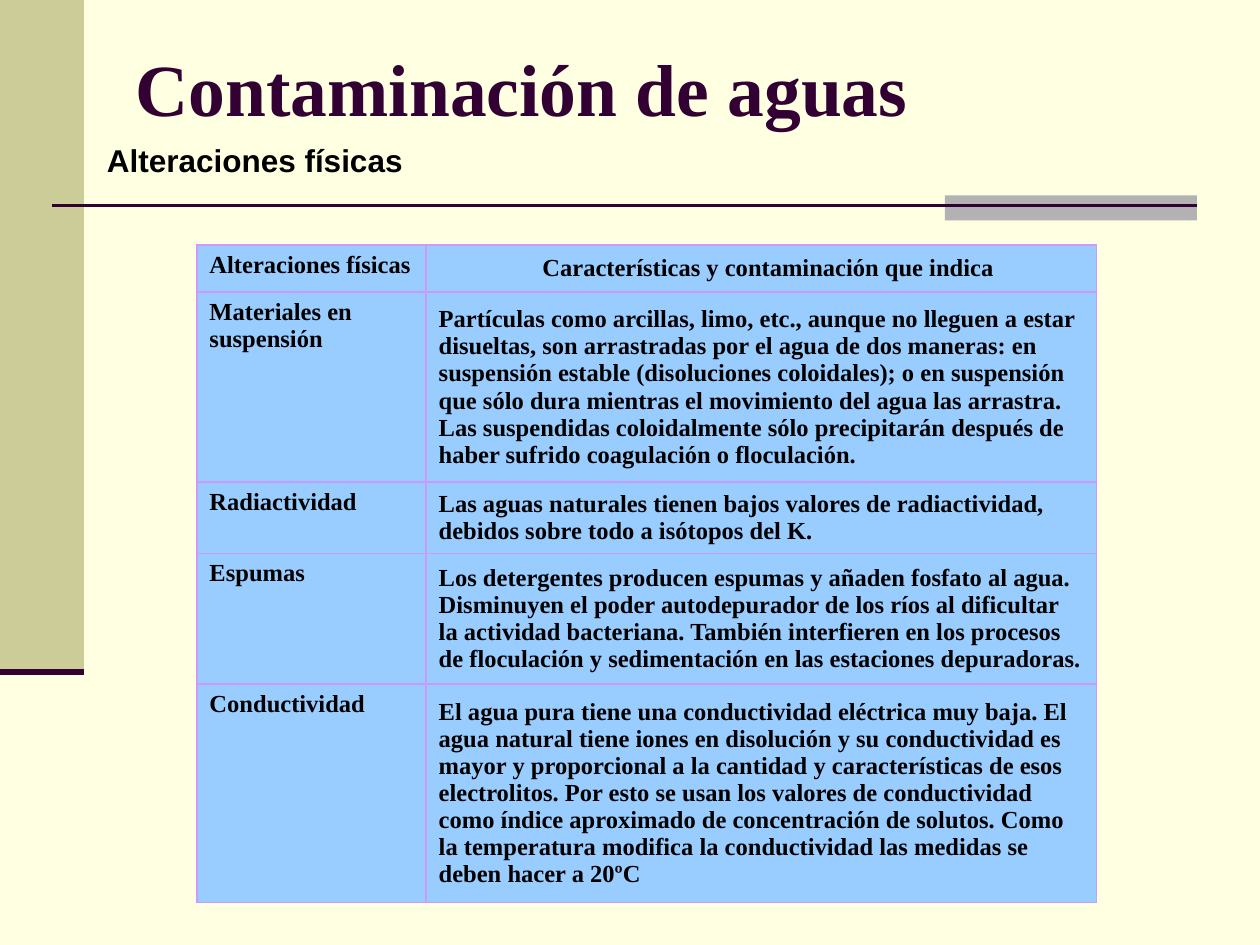
"""Builds the slide on physical alterations of polluted water."""
from lxml import etree
from pptx import Presentation
from pptx.dml.color import RGBColor
from pptx.enum import shapes, text
from pptx.oxml import ns
from pptx.util import Pt

CREAM = RGBColor(0xFF, 0xFF, 0xE1)
OLIVE = RGBColor(0xCC, 0xCC, 0x99)
GREY = RGBColor(0xB2, 0xB2, 0xB2)
PLUM = RGBColor(0x33, 0x00, 0x33)
BLACK = RGBColor(0x00, 0x00, 0x00)
SKY = RGBColor(0x99, 0xCC, 0xFF)
LILAC = RGBColor(0xCC, 0x99, 0xFF)
SERIF = "Times New Roman"


def write(frame, words, size, font, color):
    """Adds one bold run to the first paragraph, anchored in the middle."""
    frame.vertical_anchor = text.MSO_ANCHOR.MIDDLE
    span = frame.paragraphs[0].add_run()
    span.text = words
    span.font.size = Pt(size)
    span.font.name = font
    span.font.bold = True
    span.font.color.rgb = color


def add_borders(cell, color, width):
    """Draws a solid border on all four sides of a cell."""
    props = cell._tc.get_or_add_tcPr()
    for index, side in enumerate(("a:lnL", "a:lnR", "a:lnT", "a:lnB")):
        border = etree.Element(ns.qn(side), w=str(Pt(width)))
        fill = etree.SubElement(border, ns.qn("a:solidFill"))
        etree.SubElement(fill, ns.qn("a:srgbClr"), val=str(color))
        props.insert(index, border)


deck = Presentation()
deck.slide_width, deck.slide_height = Pt(720), Pt(540)
page = deck.slides.add_slide(deck.slide_layouts[6])
page.background.fill.solid()
page.background.fill.fore_color.rgb = CREAM

for left, top, width, height, color in (
    (0, 0, 48, 384, OLIVE),
    (540, 111.6, 144, 14.4, GREY),
):
    bar = page.shapes.add_shape(
        shapes.MSO_SHAPE.RECTANGLE, Pt(left), Pt(top), Pt(width), Pt(height))
    bar.shadow.inherit = False
    bar.fill.solid()
    bar.fill.fore_color.rgb = color
    bar.line.fill.background()

for start, end, height, weight in ((30, 684, 117.5, 1.5), (0, 48, 384, 3.5)):
    rule = page.shapes.add_connector(
        shapes.MSO_CONNECTOR.STRAIGHT, Pt(start), Pt(height), Pt(end), Pt(height))
    rule.line.color.rgb = PLUM
    rule.line.width = Pt(weight)
    etree.SubElement(rule._element.spPr, ns.qn("a:effectLst"))

title = page.shapes.add_textbox(Pt(70.5), Pt(4.5), Pt(612), Pt(90))
title.text_frame.word_wrap = True
write(title.text_frame, "Contaminación de aguas", 42, SERIF, PLUM)

subtitle = page.shapes.add_textbox(Pt(54), Pt(77), Pt(183.6), Pt(28.8))
subtitle.text_frame.word_wrap = False
write(subtitle.text_frame, "Alteraciones físicas", 18, "Arial", BLACK)

ROWS = (
    (27, "Alteraciones físicas", "Características y contaminación que indica"),
    (108.5, "Materiales en suspensión",
     "Partículas como arcillas, limo, etc., aunque no lleguen a estar disueltas, "
     "son arrastradas por el agua de dos maneras: en suspensión estable "
     "(disoluciones coloidales); o en suspensión que sólo dura mientras el "
     "movimiento del agua las arrastra. Las suspendidas coloidalmente sólo "
     "precipitarán después de haber sufrido coagulación o floculación."),
    (40.5, "Radiactividad",
     "Las aguas naturales tienen bajos valores de radiactividad, debidos sobre "
     "todo a isótopos del K."),
    (74.5, "Espumas",
     "Los detergentes producen espumas y añaden fosfato al agua. Disminuyen el "
     "poder autodepurador de los ríos al dificultar la actividad bacteriana. "
     "También interfieren en los procesos de floculación y sedimentación en las "
     "estaciones depuradoras."),
    (125, "Conductividad",
     "El agua pura tiene una conductividad eléctrica muy baja. El agua natural "
     "tiene iones en disolución y su conductividad es mayor y proporcional a la "
     "cantidad y características de esos electrolitos. Por esto se usan los "
     "valores de conductividad como índice aproximado de concentración de "
     "solutos. Como la temperatura modifica la conductividad las medidas se "
     "deben hacer a 20ºC"),
)
table = page.shapes.add_table(
    len(ROWS), 2, Pt(112.5), Pt(140), Pt(514), Pt(375.5)).table
table.columns[0].width, table.columns[1].width = Pt(131), Pt(383)

for row, (height, *entries) in enumerate(ROWS):
    table.rows[row].height = Pt(height)
    for column, words in enumerate(entries):
        cell = table.cell(row, column)
        write(cell.text_frame, words, 14, SERIF, BLACK)
        cell.vertical_anchor = (text.MSO_ANCHOR.TOP, text.MSO_ANCHOR.MIDDLE)[column]
        cell.fill.solid()
        cell.fill.fore_color.rgb = SKY
        add_borders(cell, LILAC, 1)
table.cell(0, 1).margin_left = Pt(66.5)

deck.save("out.pptx")
